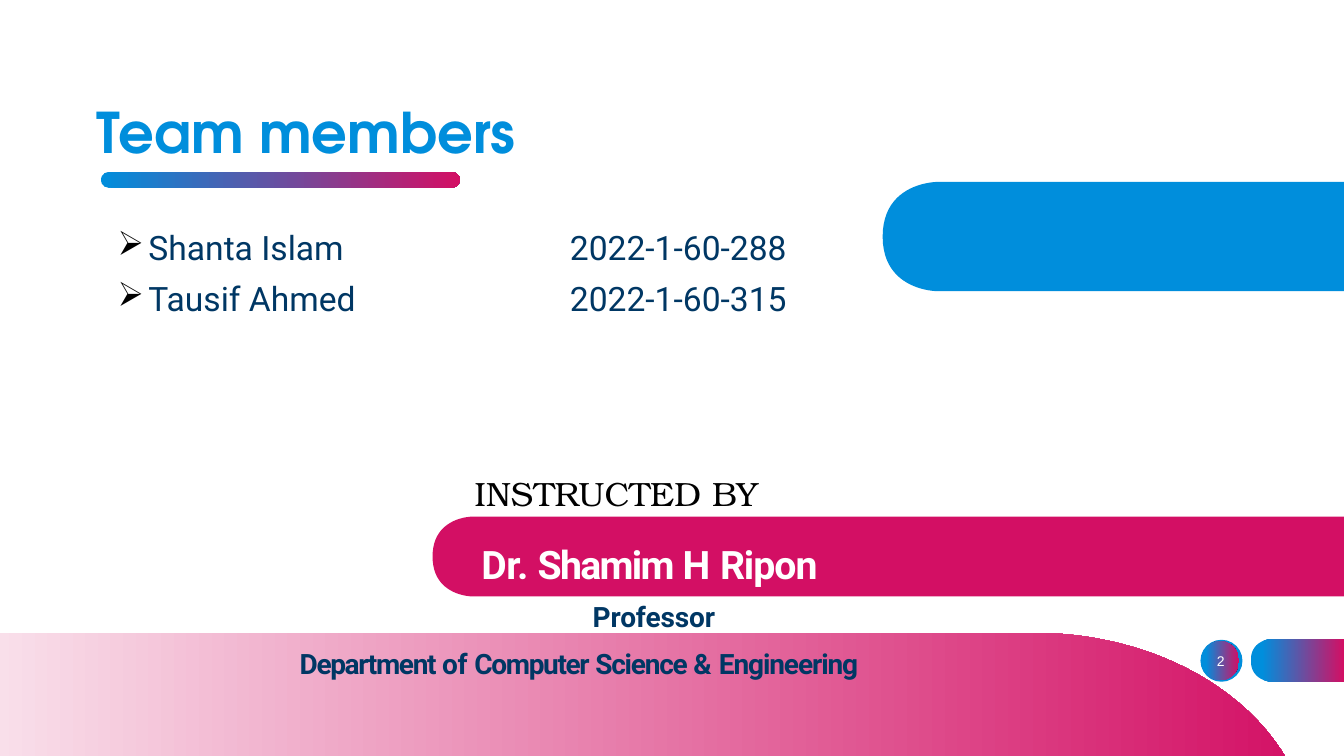
import dataclasses

import pptx
import pptx.dml.color
import pptx.enum.shapes
import pptx.enum.text
import pptx.oxml
import pptx.oxml.ns
import pptx.util

Pt = pptx.util.Pt
SHAPE = pptx.enum.shapes.MSO_SHAPE
ALIGN = pptx.enum.text.PP_ALIGN
ANCHOR = pptx.enum.text.MSO_ANCHOR


@dataclasses.dataclass(frozen=True)
class Theme:
    blue: str = "008EDC"
    pink: str = "D30F64"
    navy: str = "003764"
    white: str = "FFFFFF"
    black: str = "000000"
    title_font: str = "TeX Gyre Adventor"
    body_font: str = "Roboto"
    label_font: str = "TeX Gyre Bonum"
    number_font: str = "Arial"
    title: int = 40
    name: int = 28
    body: int = 24
    role: int = 20
    number: int = 10


T = Theme()
WIDTH, HEIGHT = 960, 540


def rgb(value):
    return pptx.dml.color.RGBColor.from_string(value)


def paint(sp, *colors, start=0):
    """Fill with one colour, or with a left-to-right gradient of two."""
    if len(colors) == 1:
        sp.fill.solid()
        sp.fill.fore_color.rgb = rgb(colors[0])
    else:
        sp.fill.gradient()
        sp.fill.gradient_angle = 0
        for stop, color, position in zip(sp.fill.gradient_stops, colors, (start, 1)):
            stop.color.rgb = rgb(color)
            stop.position = position
    sp.line.fill.background()
    sp.shadow.inherit = False


def preset(s, kind, box, *colors, start=0):
    sp = s.shapes.add_shape(kind, *map(Pt, box))
    paint(sp, *colors, start=start)
    return sp


def left_pill(s, box, *colors, start=0):
    """Bar with a rounded left end and a square right end."""
    x, y, w, h = box
    r, steps = h / 2, 24
    curve = []
    for i in range(steps + 1):
        t = i / steps
        curve.append((x + r * (1 - t) ** 2 * (1 + 2 * t), y + r * t ** 3))
    mirrored = [(px, 2 * y + h - py) for px, py in reversed(curve)]
    outline = [(x + w, y)] + curve + mirrored + [(x + w, y + h)]
    points = [(Pt(px), Pt(py)) for px, py in outline]
    builder = s.shapes.build_freeform(*points[0])
    builder.add_line_segments(points[1:], close=True)
    paint(builder.convert_to_shape(), *colors, start=start)


def text_box(s, box, anchor=ANCHOR.TOP):
    tf = s.shapes.add_textbox(*map(Pt, box)).text_frame
    tf.word_wrap = True
    tf.vertical_anchor = anchor
    return tf


def add_run(p, text, font, size, color, bold=False, spacing=0):
    r = p.add_run()
    r.text = text
    for key, value in {"name": font, "size": Pt(size), "bold": bold}.items():
        setattr(r.font, key, value)
    r.font.color.rgb = rgb(color)
    if spacing:
        r.font._element.set("spc", str(round(spacing * 100)))


def paragraph(tf, first, **formats):
    p = tf.paragraphs[0] if first else tf.add_paragraph()
    for key, value in formats.items():
        setattr(p, key, value)
    return p


def bullet_with_tab(p, indent, tab):
    pPr = p._p.get_or_add_pPr()
    pPr.set("marL", str(Pt(indent)))
    pPr.set("indent", str(Pt(-indent)))
    ns = pptx.oxml.ns.nsdecls("a")
    for xml in (
        f'<a:buClr {ns}><a:srgbClr val="{T.black}"/></a:buClr>',
        f'<a:buChar {ns} char="➢"/>',
        f'<a:tabLst {ns}><a:tab pos="{Pt(tab)}" algn="l"/></a:tabLst>',
    ):
        pPr.append(pptx.oxml.parse_xml(xml))


def heading(s, box):
    x, y, w, h = box
    title = s.shapes.title
    for key, value in zip(("left", "top", "width", "height"), box):
        setattr(title, key, Pt(value))
    tf = title.text_frame
    tf.auto_size = pptx.enum.text.MSO_AUTO_SIZE.NONE
    tf.vertical_anchor = ANCHOR.BOTTOM
    p = paragraph(tf, True, alignment=ALIGN.LEFT, line_spacing=0.9)
    add_run(p, "Team members", T.title_font, T.title, T.blue, bold=True)
    bar = preset(s, SHAPE.ROUNDED_RECTANGLE, (x + 10, y + h + 1, 256.5, 11), T.blue, T.pink)
    bar.adjustments[0] = 0.5


def members(s, box):
    tf = text_box(s, box)
    team = (("Shanta Islam", "2022-1-60-288"), ("Tausif Ahmed", "2022-1-60-315"))
    for i, person in enumerate(team):
        p = paragraph(tf, i == 0, line_spacing=0.9, space_before=Pt(10))
        bullet_with_tab(p, 22, 323)
        add_run(p, "\t".join(person), T.body_font, T.body, T.navy)


def page_number(s, box):
    x, y, w, h = box
    preset(s, SHAPE.OVAL, (x, y, 30, h), T.blue)
    preset(s, SHAPE.OVAL, (x + 0.5, y + 1, 27, h - 2), T.blue, T.pink, start=0.12)
    left_pill(s, (x + 36, y - 0.5, w - 36, h + 0.5), T.blue, T.pink, start=0.12)
    tf = text_box(s, (x - 7, y + 0.5, 43, 29), ANCHOR.MIDDLE)
    p = paragraph(tf, True, alignment=ALIGN.CENTER)
    add_run(p, "2", T.number_font, T.number, T.white)


def instructor(s, box):
    x, y, w, h = box
    left_pill(s, (x, y, w, 57), T.pink)
    label = text_box(s, (x + 23, y - 35, 420, 36))
    add_run(label.paragraphs[0], "INSTRUCTED BY", T.label_font, T.body, T.black)

    tf = text_box(s, (x - 174, y + 2, 665, h))
    tf.margin_right = Pt(115)
    lines = (
        (T.name, T.white, (("Dr. ", -0.3), ("Shamim ", -1.2), ("H ", 0), ("Ripon ", -0.7))),
        (T.role, T.navy, (("Professor", -0.1),)),
        (T.role, T.navy, (("Department ", -1), ("of ", -0.2), ("Computer", -1),
                          (" Science ", -0.9), ("& ", 0), ("Engineering", -0.8))),
    )
    for i, (size, color, words) in enumerate(lines):
        indented = i < 2
        p = paragraph(tf, i == 0, alignment=ALIGN.CENTER,
                      line_spacing=1.33 if indented else 1.0,
                      space_before=Pt(1 if indented else 9.9))
        if indented:
            p._p.get_or_add_pPr().set("marL", str(Pt(107)))
        for text, spacing in words:
            add_run(p, text, T.body_font, size, color, bold=True, spacing=spacing)


def main():
    prs = pptx.Presentation()
    prs.slide_width, prs.slide_height = Pt(WIDTH), Pt(HEIGHT)
    s = prs.slides.add_slide(prs.slide_layouts[5])
    left_pill(s, (630.5, 130, WIDTH - 630.5, 78), T.blue)
    heading(s, (62, 70, 720, 52))
    members(s, (77, 162, 539, 39))
    page_number(s, (857.5, 457, WIDTH - 857.5, 30))
    preset(s, SHAPE.FLOWCHART_TERMINATOR, (-294.5, 452, 1231, 306), T.white, T.pink, start=0.12)
    instructor(s, (309, 369, WIDTH - 309, 142.5))
    prs.save("out.pptx")


if __name__ == "__main__":
    main()
